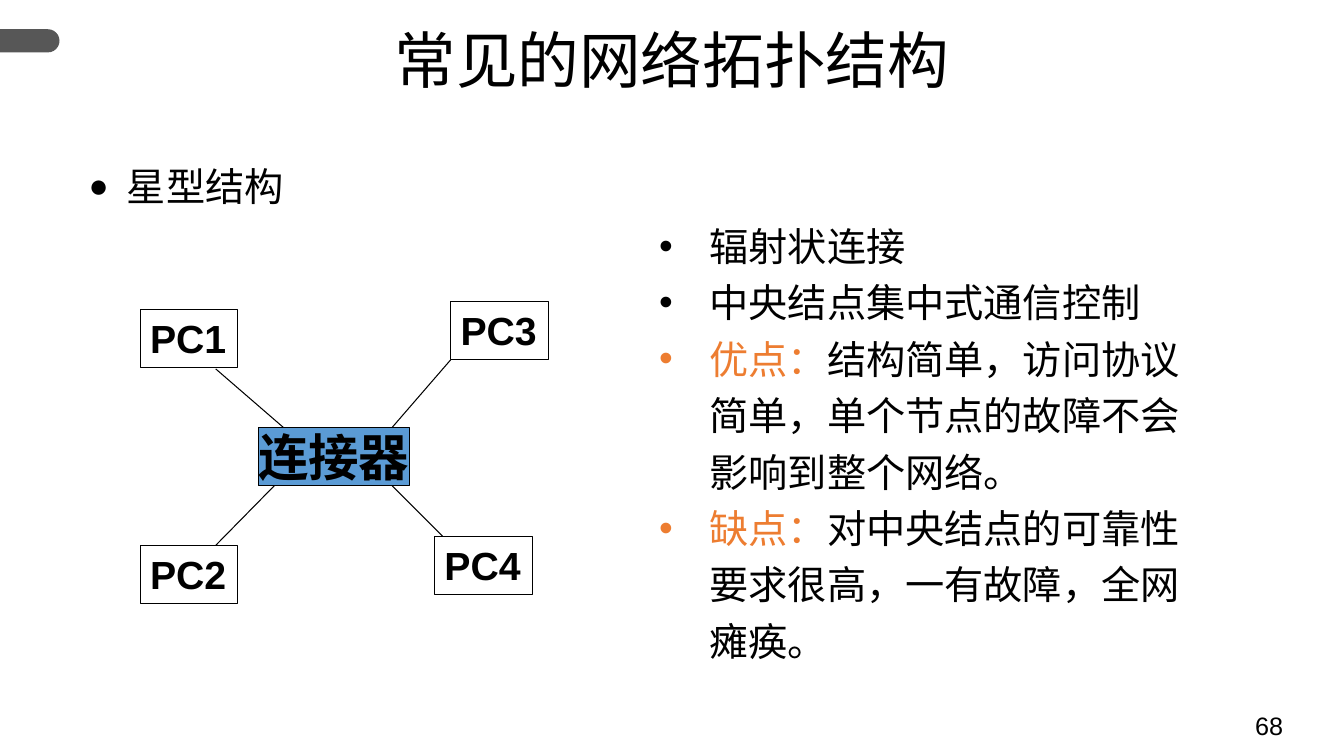
import pptx
import pptx.util
import pptx.dml.color
import pptx.enum.shapes
import pptx.enum.text
import pptx.oxml.ns
import lxml.etree

INK = {"black": "000000", "white": "FFFFFF", "gray": "575757",
       "blue": "5B9BD5", "orange": "ED7D31"}
LATIN, CJK = "Arial", "Noto Sans CJK SC"
PX = 9144

TITLE = "常见的网络拓扑结构"
PAGE = "68"
TOPIC = [("", "星型结构")]
POINTS = [
    ("", "辐射状连接"),
    ("", "中央结点集中式通信控制"),
    ("优点：", "结构简单，访问协议简单，单个节点的故障不会影响到整个网络。"),
    ("缺点：", "对中央结点的可靠性要求很高，一有故障，全网瘫痪。"),
]
HUB = ("连接器", 256, 424, 150, 58)
NODES = [("PC1", 139, 307), ("PC4", 431, 532), ("PC3", 447, 299), ("PC2", 139, 541)]
NODE_W, NODE_H = 97, 58
LINKS = [(214, 366, 281, 424), (272, 482, 214, 541),
         (389, 482, 439, 532), (447, 357, 389, 424)]

deck = pptx.Presentation()
deck.slide_width, deck.slide_height = 1333 * PX, 750 * PX
slide = deck.slides.add_slide(deck.slide_layouts[6])
shapes = slide.shapes
ALIGN = pptx.enum.text.PP_ALIGN
ANCHOR = pptx.enum.text.MSO_ANCHOR
qn = pptx.oxml.ns.qn


def color(name):
    return pptx.dml.color.RGBColor.from_string(INK[name])


def box(x, y, w, h):
    return [n * PX for n in (x, y, w, h)]


def style(font, size, face, bold=False):
    font.size = pptx.util.Pt(size)
    font.name = face
    font.bold = bold
    font.color.rgb = color("black")


def label(shape, text, size, align, bold=False, wrap=True):
    frame = shape.text_frame
    frame.word_wrap = wrap
    para = frame.paragraphs[0]
    para.text = text
    para.alignment = align
    style(para.font, size, LATIN, bold)
    return para


def bullets(area, items, char, scale, left, hang, space):
    frame = shapes.add_textbox(*box(*area)).text_frame
    frame.word_wrap = True
    for i, (lead, body) in enumerate(items):
        para = frame.add_paragraph() if i else frame.paragraphs[0]
        para.line_spacing = space
        props = para._p.get_or_add_pPr()
        props.set("marL", str(left * PX))
        props.set("indent", str(-hang * PX))
        lxml.etree.SubElement(props, qn("a:buSzPct"), val=str(scale * 1000))
        lxml.etree.SubElement(props, qn("a:buFont"), typeface=LATIN)
        lxml.etree.SubElement(props, qn("a:buChar"), char=char)
        style(para.font, 28, CJK)
        for text, tint in ((lead, "orange"), (body, "black")):
            if text:
                run = para.add_run()
                run.text = text
                style(run.font, 28, CJK)
                run.font.color.rgb = color(tint)


def block(kind, area, fill, line=None):
    shape = shapes.add_shape(kind, *box(*area))
    shape.shadow.inherit = False
    shape.fill.solid()
    shape.fill.fore_color.rgb = color(fill)
    if line:
        shape.line.color.rgb = color(line)
        shape.line.width = pptx.util.Pt(0.75)
    else:
        shape.line.fill.background()
    return shape


KIND = pptx.enum.shapes.MSO_SHAPE
tab = block(KIND.ROUND_2_SAME_RECTANGLE, (18, 11, 23, 59), "gray")
tab.rotation = 90
tab.adjustments[0] = 0.5

head = shapes.add_textbox(*box(0, 25, 1333, 125))
label(head, TITLE, 44, ALIGN.CENTER).line_spacing = 0.9
label(shapes.add_textbox(*box(1235, 700, 99, 50)), PAGE, 18, ALIGN.LEFT)
bullets((78, 142, 1202, 576), TOPIC, "●", 85, 38, 38, 1.3)

for text, x, y in NODES:
    node = block(KIND.RECTANGLE, (x, y, NODE_W, NODE_H), "white", "black")
    node.text_frame.vertical_anchor = ANCHOR.TOP
    label(node, text, 28, ALIGN.LEFT, True, False)

for link in LINKS:
    line = shapes.add_connector(pptx.enum.shapes.MSO_CONNECTOR.STRAIGHT, *box(*link))
    line.line.color.rgb = color("black")
    line.line.width = pptx.util.Pt(0.75)
    lxml.etree.SubElement(line._element.spPr, qn("a:effectLst"))

hub = block(KIND.RECTANGLE, HUB[1:], "blue", "black")
hub.text_frame.vertical_anchor = ANCHOR.MIDDLE
label(hub, HUB[0], 36, ALIGN.CENTER, True, False)

bullets((544, 206, 667, 510), POINTS, "•", 100, 150, 50, 1.2)

deck.save("out.pptx")
